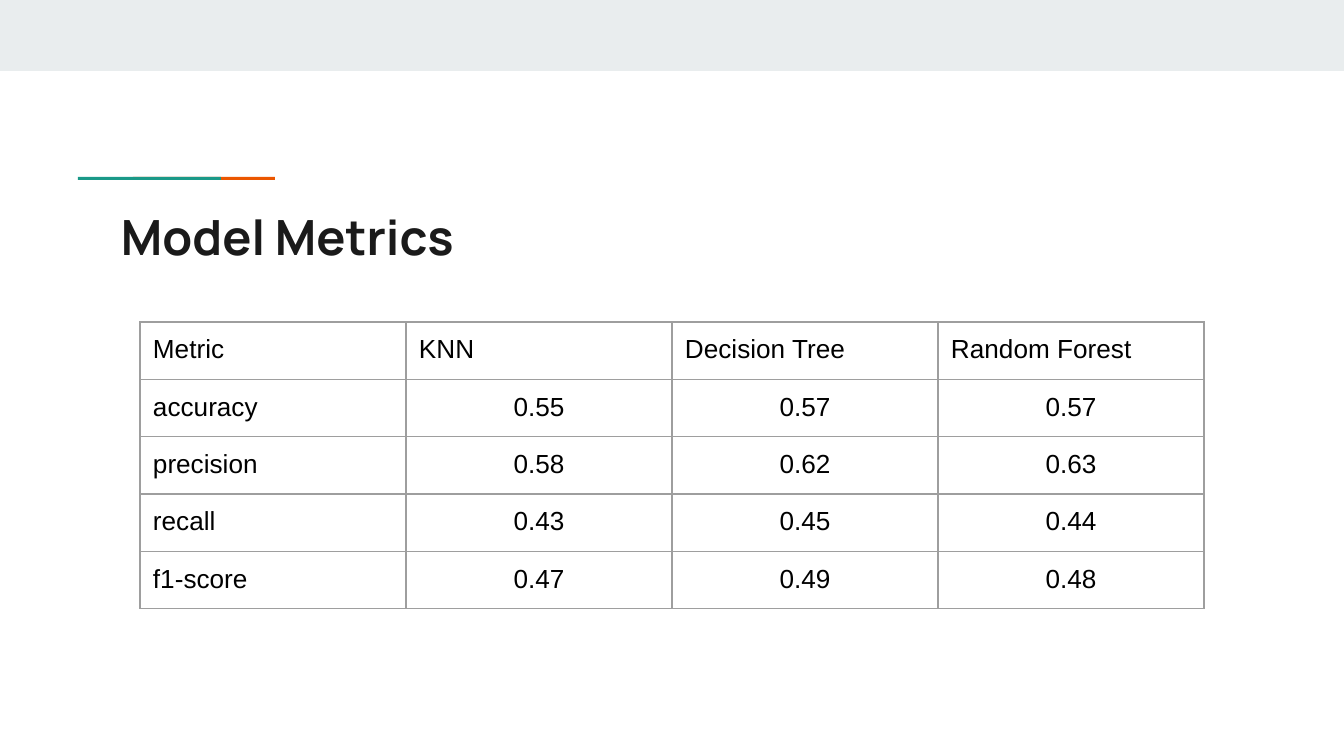
from dataclasses import dataclass
from lxml import etree
from pptx import Presentation
from pptx.dml.color import RGBColor
from pptx.enum.shapes import MSO_SHAPE
from pptx.enum.text import MSO_ANCHOR, PP_ALIGN
from pptx.oxml.ns import qn
from pptx.util import Pt

RECT = MSO_SHAPE.RECTANGLE
TOP = MSO_ANCHOR.TOP
LEFT, CENTER = PP_ALIGN.LEFT, PP_ALIGN.CENTER


@dataclass(frozen=True)
class Theme:
    band: str = "E9EDEE"
    teal: str = "1A9988"
    orange: str = "EB5600"
    ink: str = "1A1A1A"
    text: str = "000000"
    grid: str = "9E9E9E"
    head: str = "Manrope"
    body: str = "Arial"
    big: int = 26
    small: int = 14
    rule: float = 0.75


THEME = Theme()
TITLE = "Model Metrics"
ROWS = [
    ("Metric", "KNN", "Decision Tree", "Random Forest"),
    ("accuracy", "0.55", "0.57", "0.57"),
    ("precision", "0.58", "0.62", "0.63"),
    ("recall", "0.43", "0.45", "0.44"),
    ("f1-score", "0.47", "0.49", "0.48"),
]
BARS = [
    (0, 0, 1344, 71, THEME.band),
    (133, 177, 142, 3, THEME.orange),
    (78, 177, 143, 3, THEME.teal),
]
WIDE, HIGH = 1344, 756
COL, ROW, PAD = 266, 56, 13
SCALE = 914400 / 134.4


def px(n):
    return round(n * SCALE)


def box(*nums):
    return [px(n) for n in nums]


def style(par, face, size, color, bold=False):
    font = par.runs[0].font
    font.name, font.size, font.bold = face, Pt(size), bold
    font.color.rgb = RGBColor.from_string(color)


def pad(item):
    item.margin_left = item.margin_right = px(PAD)
    item.margin_top = item.margin_bottom = px(PAD)


def add_bar(slide, x, y, w, h, color):
    bar = slide.shapes.add_shape(RECT, *box(x, y, w, h))
    bar.shadow.inherit = False
    bar.fill.solid()
    bar.fill.fore_color.rgb = RGBColor.from_string(color)
    bar.line.fill.background()


def add_title(slide):
    frame = slide.shapes.add_textbox(*box(108, 194, 1130, 79)).text_frame
    frame.word_wrap = True
    frame.vertical_anchor = TOP
    pad(frame)
    frame.text = TITLE
    style(frame.paragraphs[0], THEME.head, THEME.big, THEME.ink, True)


def outline(cell):
    props = cell.fill._xPr
    for i, side in enumerate(("a:lnL", "a:lnR", "a:lnT", "a:lnB")):
        line = etree.Element(qn(side), w=str(Pt(THEME.rule)))
        fill = etree.SubElement(line, qn("a:solidFill"))
        etree.SubElement(fill, qn("a:srgbClr"), val=THEME.grid)
        props.insert(i, line)


def add_grid(slide):
    rows, cols = len(ROWS), len(ROWS[0])
    table = slide.shapes.add_table(
        rows, cols, *box(140, 322, cols * COL, rows * ROW)
    ).table
    table.first_row = table.horz_banding = False
    for col in table.columns:
        col.width = px(COL)
    for r, row in enumerate(ROWS):
        table.rows[r].height = px(ROW)
        for c, text in enumerate(row):
            cell = table.cell(r, c)
            pad(cell)
            cell.text = text
            par = cell.text_frame.paragraphs[0]
            par.alignment = CENTER if r and c else LEFT
            style(par, THEME.body, THEME.small, THEME.text)
            cell.fill.background()
            outline(cell)


def main():
    deck = Presentation()
    deck.slide_width, deck.slide_height = box(WIDE, HIGH)
    slide = deck.slides.add_slide(deck.slide_layouts[6])
    for bar in BARS:
        add_bar(slide, *bar)
    add_title(slide)
    add_grid(slide)
    deck.save("out.pptx")


if __name__ == "__main__":
    main()
